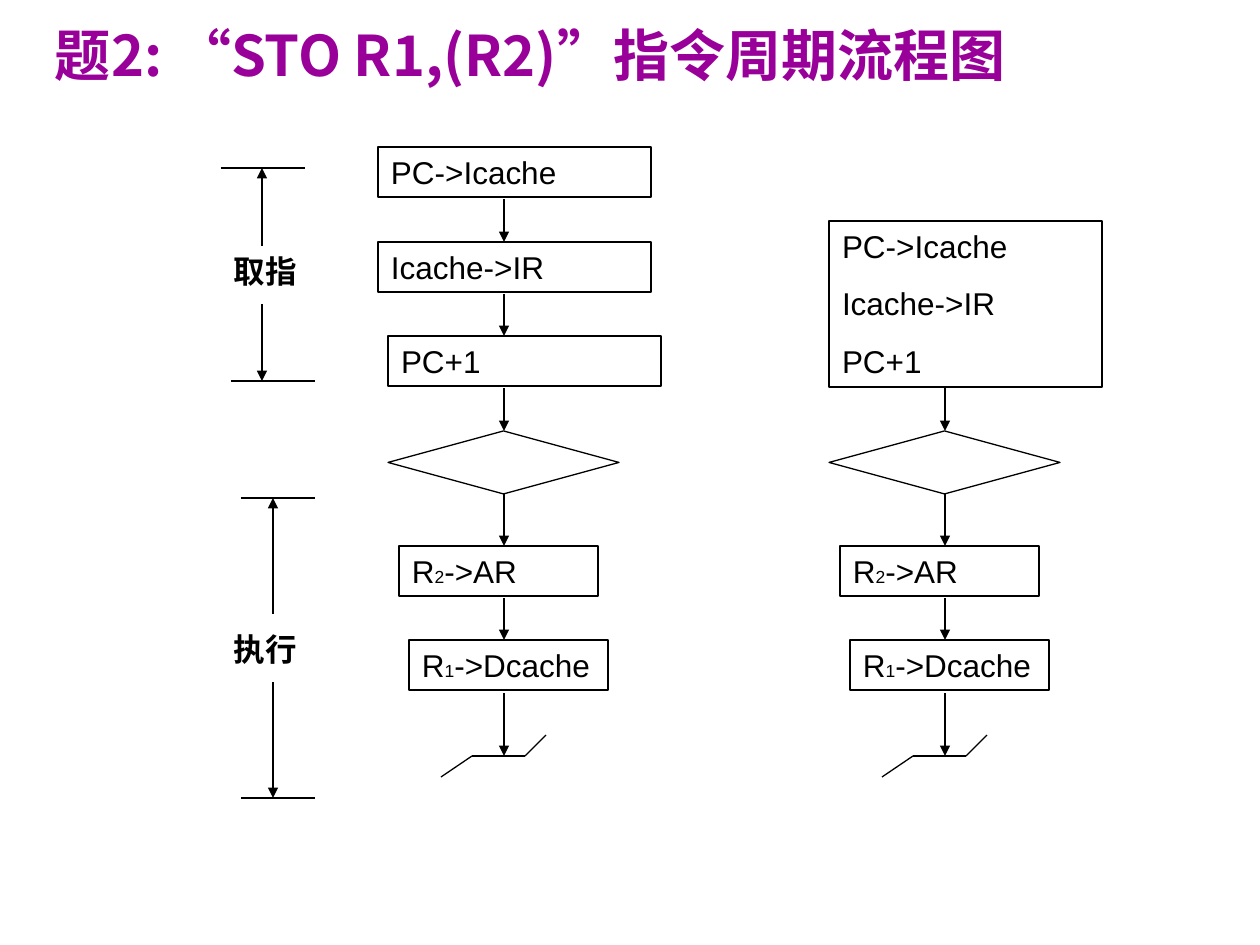
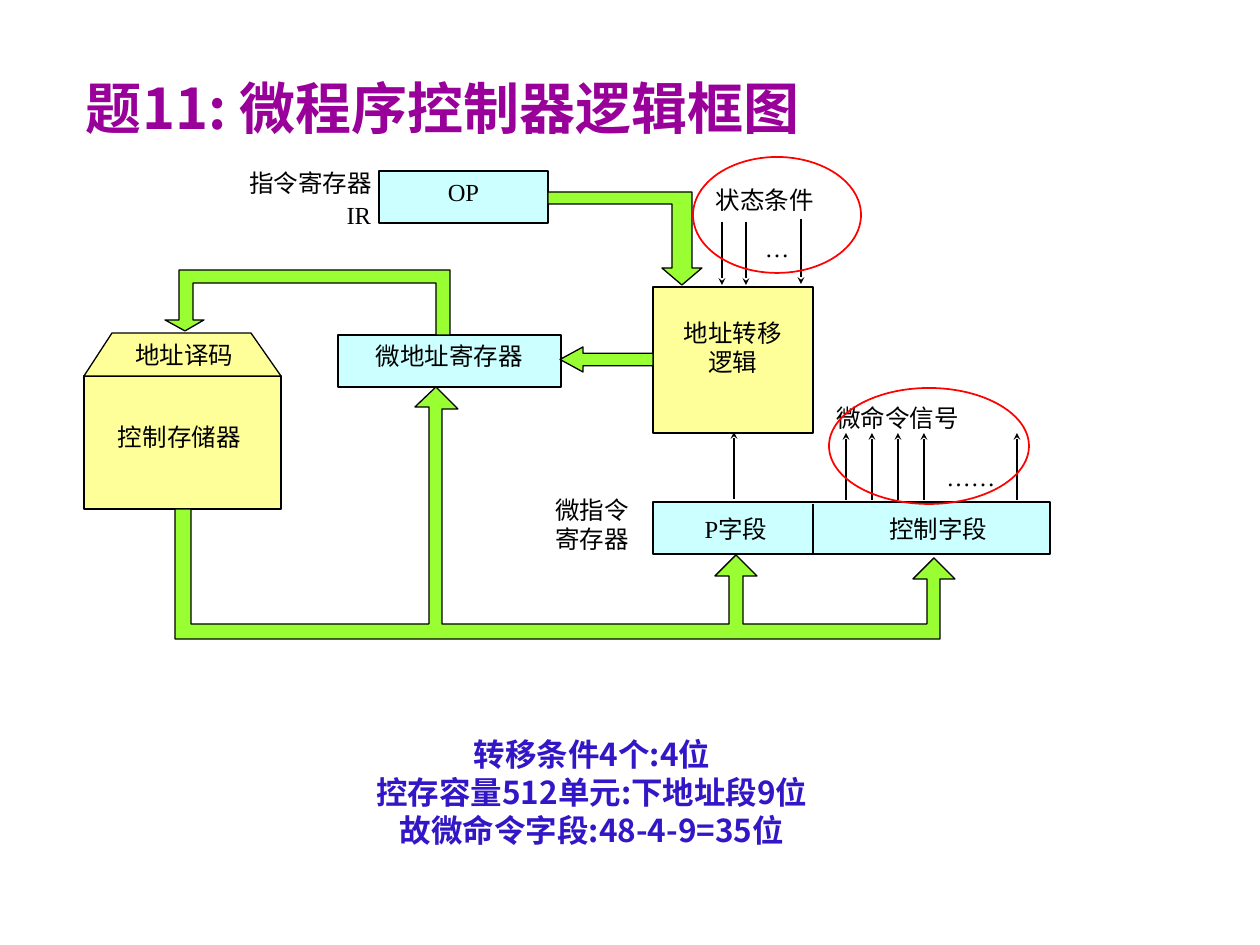
from lxml.etree import SubElement
from pptx import Presentation
from pptx.dml.color import RGBColor
from pptx.enum.shapes import MSO_CONNECTOR, MSO_SHAPE
from pptx.enum.text import MSO_ANCHOR, PP_ALIGN
from pptx.oxml.ns import qn
from pptx.util import Pt

SCALE = 914400 / 126  # EMU in one px
BLACK = RGBColor(0x00, 0x00, 0x00)
WHITE = RGBColor(0xFF, 0xFF, 0xFF)
PURPLE = RGBColor(0x99, 0x00, 0x99)
BLUE = RGBColor(0x33, 0x16, 0xC6)
CYAN = RGBColor(0xCC, 0xFF, 0xFF)
YELLOW = RGBColor(0xFF, 0xFF, 0x99)
GREEN = RGBColor(0x99, 0xFF, 0x33)
RED = RGBColor(0xFF, 0x00, 0x00)
HAN = "Noto Sans CJK SC"
LEFT, MID, RIGHT = PP_ALIGN.LEFT, PP_ALIGN.CENTER, PP_ALIGN.RIGHT

# Text styles
TITLE = {"size": Pt(32), "name": HAN, "bold": True}
STEP = {"size": Pt(18), "name": "Arial", "bold": False}
PHASE = {**STEP, "bold": True}
LABEL = {"size": Pt(14), "name": "Times New Roman", "bold": False}
NOTE = {"size": Pt(18), "name": HAN, "bold": True}
INSET = (13, 6, 13, 6)
FLAT = (0, 0, 0, 0)

# Slide 1: flow charts; a bar in a step sets its middle part small
FLOW_TITLE = "题2: “STO R1,(R2)”指令周期流程图"
AXES = (504, 945)
FETCH = [
    ((378, 147, 273, 50), ["PC->Icache"]),
    ((378, 242, 273, 50), ["Icache->IR"]),
    ((388, 336, 273, 50), ["PC+1"]),
    ((829, 221, 273, 166), ["PC->Icache", "Icache->IR", "PC+1"]),
]
FETCH_LINKS = [(199, 242), (294, 336)]
EXEC = [((-105, 546, 199, 50), ["R|2|->AR"]),
        ((-95, 640, 199, 50), ["R|1|->Dcache"])]
LINKS = [(388, 431), (494, 546), (598, 640), (693, 756)]
END = [(-63, 777), (-32, 756), (21, 756), (42, 735)]
# Word, word box, axis, (arrow start, arrow end) pairs, bars
PHASES = [
    ("取指", (221, 246, 105, 50), 262, [(246, 168), (304, 381)],
     [(221, 305, 168), (231, 315, 381)]),
    ("执行", (221, 624, 95, 50), 273, [(614, 498), (682, 798)],
     [(241, 315, 498), (241, 315, 798)]),
]

# Slide 2: block diagram
UNIT_TITLE = "题11: 微程序控制器逻辑框图"
BLOCKS = [
    ((653, 502, 397, 52), CYAN, [], FLAT),
    ((653, 287, 160, 146), YELLOW, ["地址转移", "逻辑"], (13, 31, 13, 6)),
    ((379, 171, 169, 52), CYAN, ["OP"], INSET),
    ((338, 335, 223, 52), CYAN, ["微地址寄存器"], INSET),
    ((84, 376, 197, 133), YELLOW, [], FLAT),
]
ROOF = [(112, 333), (251, 333), (281, 376), (84, 376)]
LABELS = [
    ((115, 340, 139, 34), MID, ["地址译码"]),
    ((118, 422, 140, 42), LEFT, ["控制存储器"]),
    ((670, 514, 132, 37), MID, ["P字段"]),
    ((854, 514, 169, 37), MID, ["控制字段"]),
    ((921, 462, 100, 37), MID, ["……"]),
    ((813, 403, 169, 34), MID, ["微命令信号"]),
    ((226, 168, 169, 37), MID, ["指令寄存器"]),
    ((338, 200, 33, 38), RIGHT, ["IR"]),
    ((765, 233, 37, 37), LEFT, ["…"]),
    ((702, 185, 126, 33), MID, ["状态条件"]),
    ((529, 495, 100, 71), RIGHT, ["微指令", "寄存器"]),
]
SIGNALS = [(x, 500, 433) for x in (*range(846, 925, 26), 1017)]
SIGNALS += [(734, 499, 432), (722, 222, 285), (746, 222, 285), (801, 219, 284)]
BUSES = [
    [(682, 285), (662, 268), (672, 268), (672, 204), (548, 204),
     (548, 192), (692, 192), (692, 268), (702, 268)],
    [(436, 335), (436, 283), (193, 283), (193, 320), (204, 320), (185, 331),
     (165, 320), (179, 320), (179, 270), (450, 270), (450, 335)],
    [(191, 509), (191, 624), (429, 624), (429, 407), (415, 407), (436, 387),
     (458, 409), (442, 409), (442, 624), (729, 624), (729, 576), (715, 576),
     (736, 555), (757, 576), (743, 576), (743, 624), (927, 624), (927, 579),
     (913, 579), (934, 558), (955, 579), (940, 579), (940, 639), (175, 639),
     (175, 509)],
]
RINGS = [(829, 388, 200, 116), (693, 157, 168, 116)]
RESULT = ["转移条件4个:4位", "控存容量512单元:下地址段9位", "故微命令字段:48-4-9=35位"]


def emu(*nums):
    return [round(n * SCALE) for n in nums]


def apply(item, form):
    for key, val in form.items():
        setattr(item, key, val)


def write(shape, lines, style, color=BLACK, align=LEFT, inset=INSET,
          anchor=MSO_ANCHOR.TOP, gap=0):
    frame = shape.text_frame
    sides = ("margin_left", "margin_top", "margin_right", "margin_bottom")
    apply(frame, {"word_wrap": True, "vertical_anchor": anchor,
                  **dict(zip(sides, emu(*inset)))})
    for row, line in enumerate(lines):
        para = frame.add_paragraph() if row else frame.paragraphs[0]
        para.alignment = align
        if row and gap:
            para.space_before = Pt(gap)
        for part, text in enumerate(line.split("|")):
            run = para.add_run()
            run.text = text
            apply(run.font, style)
            run.font.color.rgb = color
            if part == 1:
                run.font.size = Pt(10)
            SubElement(run.font._element, qn("a:ea"), typeface=HAN)


def paint(shape, fill=None, line=BLACK, width=0.75):
    shape.shadow.inherit = False
    if fill is None:
        shape.fill.background()
    else:
        shape.fill.solid()
        shape.fill.fore_color.rgb = fill
    shape.line.color.rgb = line
    shape.line.width = Pt(width)
    return shape


def draw(slide, kind, box, **look):
    return paint(slide.shapes.add_shape(kind, *emu(*box)), **look)


def outline(slide, points, fill):
    path = slide.shapes.build_freeform(*points[0], scale=SCALE)
    path.add_line_segments(points[1:], close=True)
    paint(path.convert_to_shape(), fill=fill)


def note(slide, box, lines, style, **look):
    write(slide.shapes.add_textbox(*emu(*box)), lines, style, **look)


def title(slide, box, text):
    note(slide, box, [text], TITLE, color=PURPLE, anchor=MSO_ANCHOR.BOTTOM)


def link(slide, start, end, head=None, size="med"):
    line = slide.shapes.add_connector(
        MSO_CONNECTOR.STRAIGHT, *emu(*start, *end))
    line.line.color.rgb = BLACK
    line.line.width = Pt(0.75)
    if head:
        SubElement(line.line._get_or_add_ln(), qn("a:tailEnd"),
                   type=head, w=size, len=size)
    SubElement(line._element.spPr, qn("a:effectLst"))


def flow(slide):
    title(slide, (42, 0, 1071, 94), FLOW_TITLE)
    # Phase brackets
    for word, box, axis, arrows, bars in PHASES:
        note(slide, box, [word], PHASE)
        for left, right, y in bars:
            link(slide, (left, y), (right, y))
        for top, end in arrows:
            link(slide, (axis, top), (axis, end), "triangle")
    # Fetch steps
    steps = list(FETCH)
    for top, end in FETCH_LINKS:
        link(slide, (AXES[0], top), (AXES[0], end), "triangle")
    # Parts that both charts share
    for axis in AXES:
        draw(slide, MSO_SHAPE.DIAMOND, (axis - 116, 431, 231, 63), fill=WHITE)
        steps += [((axis + x, *rest), text) for (x, *rest), text in EXEC]
        for top, end in LINKS:
            link(slide, (axis, top), (axis, end), "triangle")
        for (x1, y1), (x2, y2) in zip(END, END[1:]):
            link(slide, (axis + x1, y1), (axis + x2, y2))
    for box, lines in steps:
        write(draw(slide, MSO_SHAPE.RECTANGLE, box), lines, STEP, gap=11.2)


def unit(slide):
    title(slide, (73, 53, 1071, 94), UNIT_TITLE)
    # Registers, logic and control store
    for box, fill, lines, inset in BLOCKS:
        block = draw(slide, MSO_SHAPE.RECTANGLE, box, fill=fill)
        write(block, lines, LABEL, align=MID, inset=inset)
    outline(slide, ROOF, YELLOW)
    link(slide, (813, 504), (813, 553))
    # Labels and signals
    for box, align, lines in LABELS:
        note(slide, box, lines, LABEL, align=align, inset=FLAT)
    for x, top, end in SIGNALS:
        link(slide, (x, top), (x, end), "stealth", "sm")
    # Buses
    arrow = draw(slide, MSO_SHAPE.LEFT_ARROW, (560, 347, 93, 25), fill=GREEN)
    arrow.adjustments[0], arrow.adjustments[1] = 0.5, 0.92
    for points in BUSES:
        outline(slide, points, GREEN)
    # Answer and red rings
    note(slide, (315, 735, 554, 130), RESULT, NOTE, color=BLUE,
         align=MID, inset=FLAT)
    for box in RINGS:
        draw(slide, MSO_SHAPE.OVAL, box, line=RED, width=1)


def main():
    deck = Presentation()
    deck.slide_width, deck.slide_height = emu(1260, 945)
    for build in (flow, unit):
        build(deck.slides.add_slide(deck.slide_layouts[6]))
    deck.save("out.pptx")


if __name__ == "__main__":
    main()
